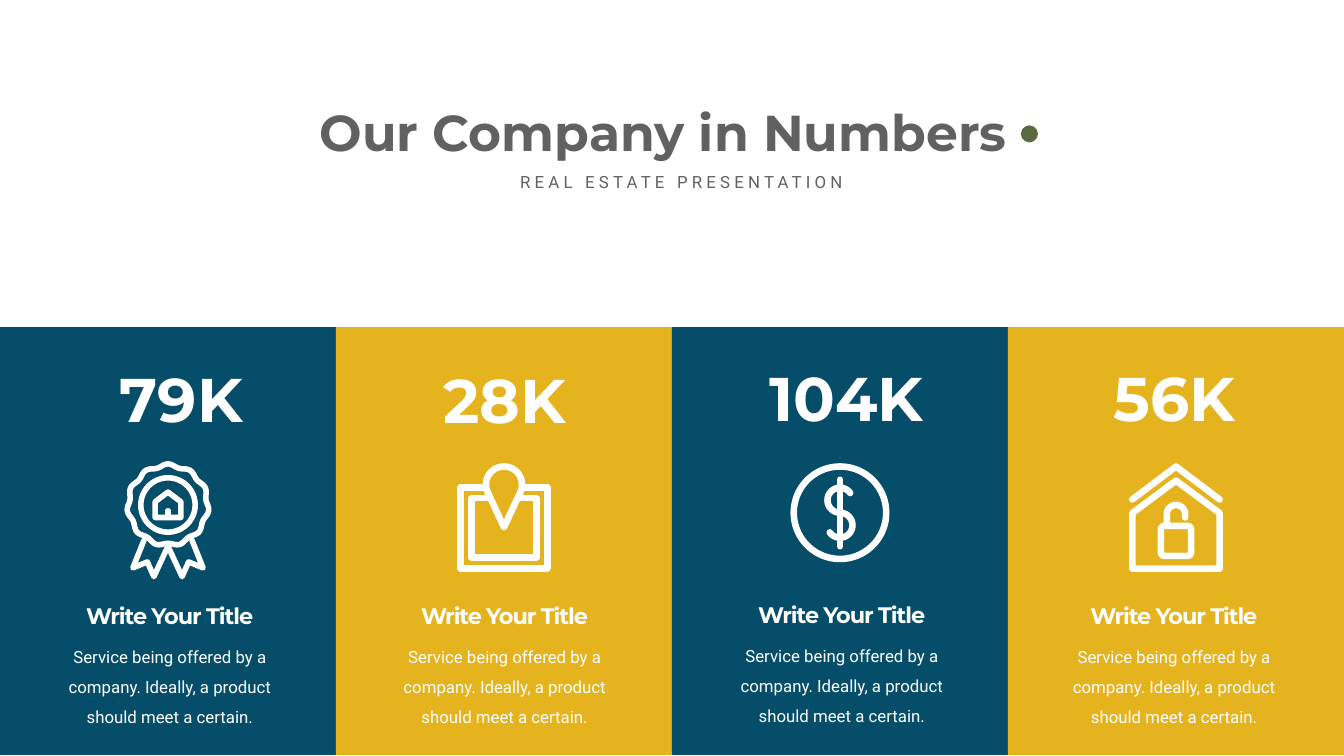
from math import cos, pi, radians, sin

from lxml import etree
from pptx import Presentation
from pptx.dml.color import RGBColor
from pptx.enum.shapes import MSO_CONNECTOR, MSO_SHAPE
from pptx.enum.text import MSO_ANCHOR, MSO_AUTO_SIZE, PP_ALIGN
from pptx.oxml.ns import qn
from pptx.util import Cm, Pt

RECTANGLE, OVAL = MSO_SHAPE.RECTANGLE, MSO_SHAPE.OVAL
ROUNDED = MSO_SHAPE.ROUNDED_RECTANGLE
STRAIGHT = MSO_CONNECTOR.STRAIGHT
CENTER, TOP = PP_ALIGN.CENTER, MSO_ANCHOR.TOP
GROW = MSO_AUTO_SIZE.SHAPE_TO_FIT_TEXT

COLORS = {"white": "FFFFFF", "blue": "054D68", "gold": "E5B31E",
          "gray": "606160", "green": "5A6B41"}
HEAD_FONT, BODY_FONT = "Montserrat", "Roboto"

SLIDE_W, SLIDE_H = 67.72, 38.1
COLUMN_W = SLIDE_W / 4
PANEL_TOP, PANEL_H = 16.51, 21.51
ICON_TOP = 23.34
PEN, THIN_PEN = 0.33, 0.28

HEADING = "Write Your Title"
DESCRIPTION = ("Service being offered by a company. Ideally, a product "
               "should meet a certain.")


def color(name):
    return RGBColor.from_string(COLORS[name])


def add_block(slide, kind, left, top, width, height, fill, outlined=False):
    block = slide.shapes.add_shape(kind, Cm(left), Cm(top), Cm(width), Cm(height))
    block.shadow.inherit = False
    block.fill.solid()
    block.fill.fore_color.rgb = color(fill)
    if outlined:
        block.line.color.rgb = color(fill)
        block.line.width = Pt(1)
    else:
        block.line.fill.background()


def write(frame, text, size, font, ink, bold=False, tracking=0):
    frame.word_wrap = True
    frame.auto_size = GROW
    frame.vertical_anchor = TOP
    paragraph = frame.paragraphs[0]
    paragraph.alignment = CENTER
    run = paragraph.add_run()
    run.text = text
    run.font.size, run.font.name, run.font.bold = Pt(size), font, bold
    run.font.color.rgb = color(ink)
    if tracking:
        run._r.get_or_add_rPr().set("spc", str(int(tracking * 100)))
    return paragraph


def add_text(slide, left, top, width, height, *style, **options):
    box = slide.shapes.add_textbox(Cm(left), Cm(top), Cm(width), Cm(height))
    return box.text_frame, write(box.text_frame, *style, **options)


def arc(x, y, radius, start, end, steps=24):
    """Points along an arc, in degrees clockwise from the right."""
    angles = [radians(start + (end - start) * i / steps) for i in range(steps + 1)]
    return [(x + radius * cos(a), y + radius * sin(a)) for a in angles]


def mirrored(half):
    """Continue a left half to its mirror image, sharing the middle point."""
    return half + [(-x, y) for x, y in reversed(half[:-1])]


class IconPen:
    """Draws white strokes relative to the top centre of an icon."""

    def __init__(self, slide, center, width):
        self.shapes, self.center, self.width = slide.shapes, center, width

    def place(self, x, y):
        return Cm(self.center + x), Cm(ICON_TOP + y)

    def ink(self, stroke):
        stroke.line.color.rgb = color("white")
        stroke.line.width = Cm(self.width)
        line = stroke.line._get_or_add_ln()
        line.set("cap", "rnd")
        etree.SubElement(line, qn("a:round"))

    def ink_outline(self, outline):
        outline.shadow.inherit = False
        outline.fill.background()
        self.ink(outline)

    def polyline(self, points, close=False):
        places = [self.place(x, y) for x, y in points]
        builder = self.shapes.build_freeform(*places[0])
        builder.add_line_segments(places[1:], close=close)
        self.ink_outline(builder.convert_to_shape())

    def circle(self, y, radius):
        left, top = self.place(-radius, y - radius)
        self.ink_outline(self.shapes.add_shape(OVAL, left, top, Cm(2 * radius), Cm(2 * radius)))

    def rounded_square(self, y, side):
        left, top = self.place(-side / 2, y)
        square = self.shapes.add_shape(ROUNDED, left, top, Cm(side), Cm(side))
        square.adjustments[0] = 0.12
        self.ink_outline(square)

    def upright(self, top, bottom):
        bar = self.shapes.add_connector(STRAIGHT, *self.place(0, top), *self.place(0, bottom))
        self.ink(bar)
        etree.SubElement(bar._element.spPr, qn("a:effectLst"))


def draw_badge(pen):
    pen.width = THIN_PEN
    # Scalloped edge with eleven lobes, one of them at the top
    edge = []
    for step in range(176):
        angle = 2 * pi * step / 176
        radius = 2 + 0.07 * cos(11 * angle)
        edge.append((radius * sin(angle), 2.11 - radius * cos(angle)))
    pen.polyline(edge, close=True)
    pen.circle(2.11, 1.37)
    # House and door
    pen.polyline(mirrored([(-0.65, 2.74), (-0.65, 1.95), (0, 1.46)]), close=True)
    pen.upright(2.4, 2.74)
    # Ribbon tails
    pen.polyline(mirrored([(-1.21, 3.89), (-1.77, 5.28), (-1.04, 4.98),
                           (-0.71, 5.72), (0, 4.19)]))


def draw_map(pen):
    for gap, half, top, bottom in ((1, 2.18, 1.23, 5.3), (0.86, 1.63, 1.77, 4.76)):
        pen.polyline(mirrored([(-gap, top), (-half, top), (-half, bottom), (0, bottom)]))
    pen.polyline(arc(0, 1.08, 0.91, 160, 380) + [(0, 3.23)], close=True)


def draw_dollar(pen):
    pen.circle(2.5, 2.33)
    pen.upright(0.84, 4.19)
    pen.polyline(arc(0, 1.87, 0.63, -35, -270) + arc(0, 3.13, 0.63, -90, 145))


def draw_locked_house(pen):
    pen.polyline(mirrored([(-2.2, 5.32), (-2.2, 2.52), (0, 0.88)]), close=True)
    pen.polyline(mirrored([(-2.2, 1.83), (0, 0.17)]))
    pen.rounded_square(3.16, 1.52)
    pen.polyline([(-0.46, 3.16)] + arc(0, 2.57, 0.46, 180, 360) + [(0.46, 2.74)])


# Figure, panel, icon, figure shift and top, caption shift and top
COLUMNS = [
    ("79K", "blue", draw_badge, 0.66, 18.08, 0.09, 30.2),
    ("28K", "gold", draw_map, 0.04, 18.11, 0.03, 30.2),
    ("104K", "blue", draw_dollar, 0.3, 18.03, 0.09, 30.17),
    ("56K", "gold", draw_locked_house, -0.09, 18.03, -0.1, 30.2),
]


def add_header(slide):
    title = slide.shapes.title
    title.left, title.top, title.width, title.height = Cm(15.42), Cm(4.98), Cm(35.99), Cm(3.33)
    write(title.text_frame, "Our Company in Numbers", 72, HEAD_FONT, "gray", bold=True)
    add_text(slide, 25.43, 8.53, 17.81, 1.27, "REAL ESTATE PRESENTATION", 24,
             BODY_FONT, "gray", tracking=6)
    add_block(slide, OVAL, 51.44, 6.32, 0.86, 0.86, "green")


def add_column(slide, index, figure, panel, draw_icon, figure_shift, figure_top,
               caption_shift, caption_top):
    center = COLUMN_W * (index + 0.5)
    add_block(slide, RECTANGLE, COLUMN_W * index, PANEL_TOP, COLUMN_W, PANEL_H,
              panel, outlined=True)
    draw_icon(IconPen(slide, center, PEN))
    add_text(slide, center + figure_shift - 4.67, figure_top, 9.35, 4.01, figure,
             88, HEAD_FONT, "white", bold=True)
    # Caption
    middle = center + caption_shift
    add_text(slide, middle - 6.38, caption_top, 12.75, 1.63, HEADING, 32,
             HEAD_FONT, "white", bold=True, tracking=-1.5)
    frame, paragraph = add_text(slide, middle - 6.59, caption_top + 1.58, 13.18, 5.08,
                                DESCRIPTION, 24, BODY_FONT, "white")
    frame.margin_left = frame.margin_right = Cm(0.61)
    frame.margin_top = frame.margin_bottom = Cm(0.3)
    paragraph.line_spacing = Pt(43)


def main():
    presentation = Presentation()
    presentation.slide_width, presentation.slide_height = Cm(SLIDE_W), Cm(SLIDE_H)
    slide = presentation.slides.add_slide(presentation.slide_layouts[5])
    slide.background.fill.solid()
    slide.background.fill.fore_color.rgb = color("white")
    add_header(slide)
    for index, column in enumerate(COLUMNS):
        add_column(slide, index, *column)
    presentation.save("out.pptx")


if __name__ == "__main__":
    main()
